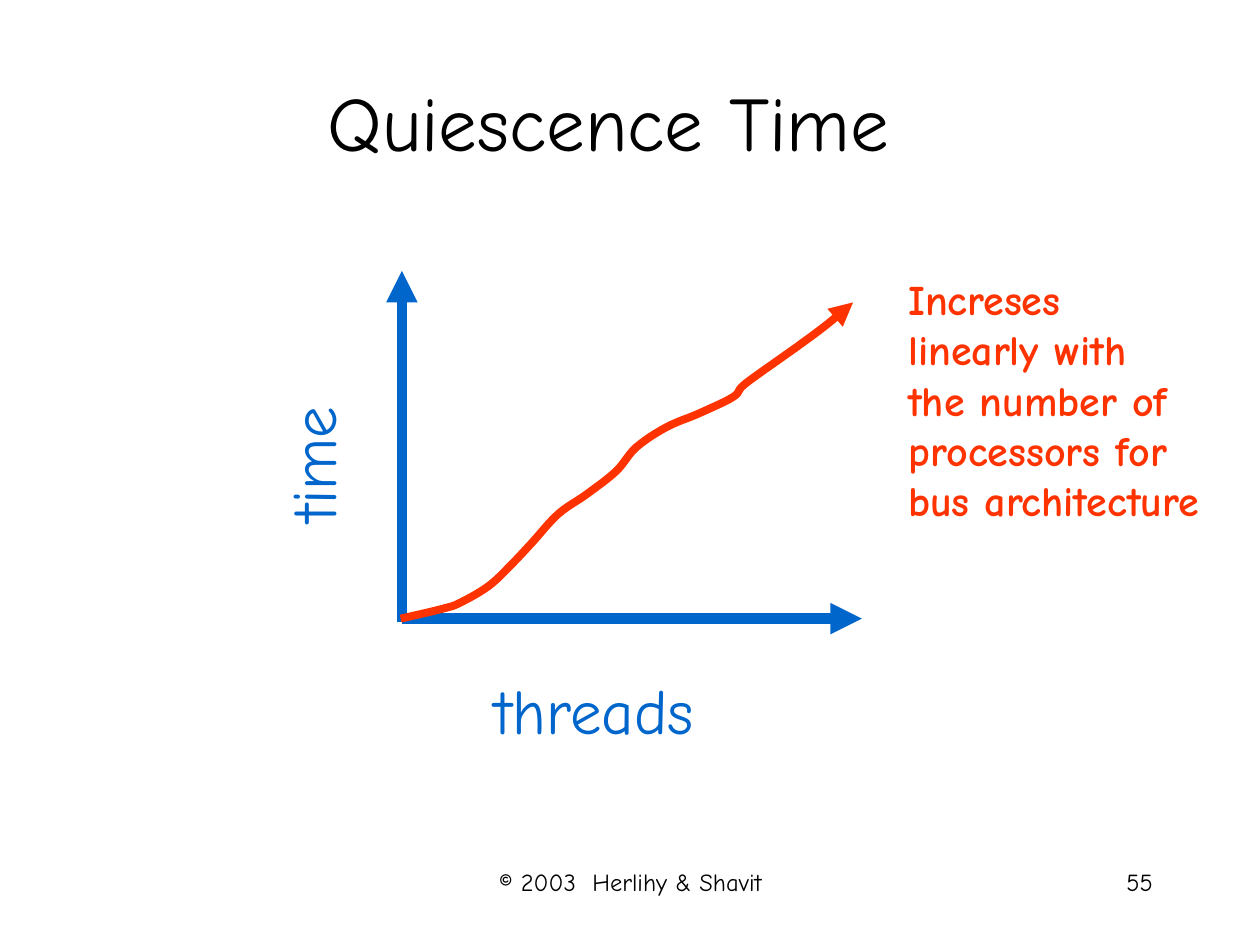
from lxml import etree
from pptx import Presentation
from pptx.dml.color import RGBColor
from pptx.enum.shapes import MSO_CONNECTOR as Conn
from pptx.enum.text import MSO_ANCHOR as Anchor, MSO_AUTO_SIZE as Fit, PP_ALIGN as Align
from pptx.oxml.ns import qn
from pptx.util import Emu, Pt

PX = 9144  # 100 px to the inch
FONT = "Comic Neue"
BLACK, BLUE, RED = "000000", "0066CC", "FF3300"


def px(*vals):
    return [Emu(round(v * PX)) for v in vals]


def color(code):
    return RGBColor.from_string(code)


def write(shape, text, size=14, fill=BLACK, bold=False, align=Align.LEFT,
          anchor=Anchor.TOP, wrap=True, fit=Fit.NONE):
    frame = shape.text_frame
    frame.text = text
    frame.word_wrap = wrap
    frame.auto_size = fit
    frame.vertical_anchor = anchor
    for para in frame.paragraphs:
        para.alignment = align
        font = para.font
        font.name, font.size, font.bold = FONT, Pt(size), bold
        font.color.rgb = color(fill)
    return frame


def text_box(slide, box, text, **style):
    shape = slide.shapes.add_textbox(*px(*box))
    write(shape, text, **style)
    return shape


def arrow(shape, fill, width):
    """Style a line or open curve and put an arrowhead at its end."""
    shape.line.color.rgb = color(fill)
    shape.line.width = Pt(width)
    etree.SubElement(shape.line._get_or_add_ln(), qn("a:tailEnd"), type="triangle")
    props = shape._element.spPr
    if props.find(qn("a:effectLst")) is None:
        etree.SubElement(props, qn("a:effectLst"))


def smooth(knots, steps=6):
    """Points of a Catmull-Rom curve through the knots."""
    ends = [knots[0], *knots, knots[-1]]
    points = [knots[0]]
    for quad in zip(ends, ends[1:], ends[2:], ends[3:]):
        for step in range(1, steps + 1):
            t = step / steps
            points.append(tuple(
                (2 * b + (c - a) * t + (2 * a - 5 * b + 4 * c - d) * t ** 2
                 + (3 * b - a - 3 * c + d) * t ** 3) / 2
                for a, b, c, d in zip(*quad)))
    return points


def axis_name(slide, box, text, turn):
    shape = text_box(slide, box, text, size=36, fill=BLUE, align=Align.RIGHT,
                     wrap=False, fit=Fit.SHAPE_TO_FIT_TEXT)
    shape.rotation = turn
    frame = shape.text_frame
    frame.margin_left, frame.margin_right, frame.margin_top, frame.margin_bottom = px(5, 5, 10, 10)
    frame._txBody.bodyPr.set("vert", "eaVert")


def graph(slide, left, top, width, height):
    base = top + height
    # Axes
    for ends in ((left, base + 3, left, top), (left, base, left + width, base)):
        line = slide.shapes.add_connector(Conn.STRAIGHT, *px(*ends))
        arrow(line, BLUE, 6)
    axis_name(slide, (left - 107, top + 108, 80, 102), "time", 180)

    # Curve: steps right and up from the origin
    knots = [(-1, 0), (33, 8), (47, 13), (69, 26), (87, 43), (103, 60), (124, 83),
             (147, 99), (170, 117), (186, 136), (210, 152), (236, 163), (263, 176),
             (272, 186), (304, 209), (318, 219), (338, 234), (358, 251)]
    points = [tuple(px(left + x, base - y)) for x, y in smooth(knots)]
    path = slide.shapes.build_freeform(*points[0])
    path.add_line_segments(points[1:], close=False)
    curve = path.convert_to_shape()
    curve.fill.background()
    curve.shadow.inherit = False
    arrow(curve, RED, 4.5)

    axis_name(slide, (left + 108, base - 8, 80, 169), "threads", 270)


def heading(slide, box):
    title = slide.shapes.title
    title.left, title.top, title.width, title.height = px(*box)
    write(title, "Quiescence Time", size=44, align=Align.CENTER, anchor=Anchor.MIDDLE)


def remark(slide, box):
    lines = ["Increses", "linearly with", "the number of", "processors for", "bus architecture"]
    text_box(slide, box, "\n".join(lines), size=24, fill=RED, bold=True,
             wrap=False, fit=Fit.SHAPE_TO_FIT_TEXT)


def footer(slide, left, top, width, height):
    text_box(slide, (left, top, 317, height), "© 2003  Herlihy & Shavit", align=Align.CENTER)
    text_box(slide, (left + width - 208, top, 208, height), "55", align=Align.RIGHT)


def main():
    deck = Presentation()
    deck.slide_width, deck.slide_height = px(1000, 750)
    slide = deck.slides.add_slide(deck.slide_layouts[5])
    heading(slide, (58, 33, 850, 125))
    remark(slide, (711, 212, 253, 210))
    graph(slide, 319, 215, 365, 276)
    footer(slide, 342, 683, 583, 50)
    deck.save("out.pptx")


if __name__ == "__main__":
    main()
